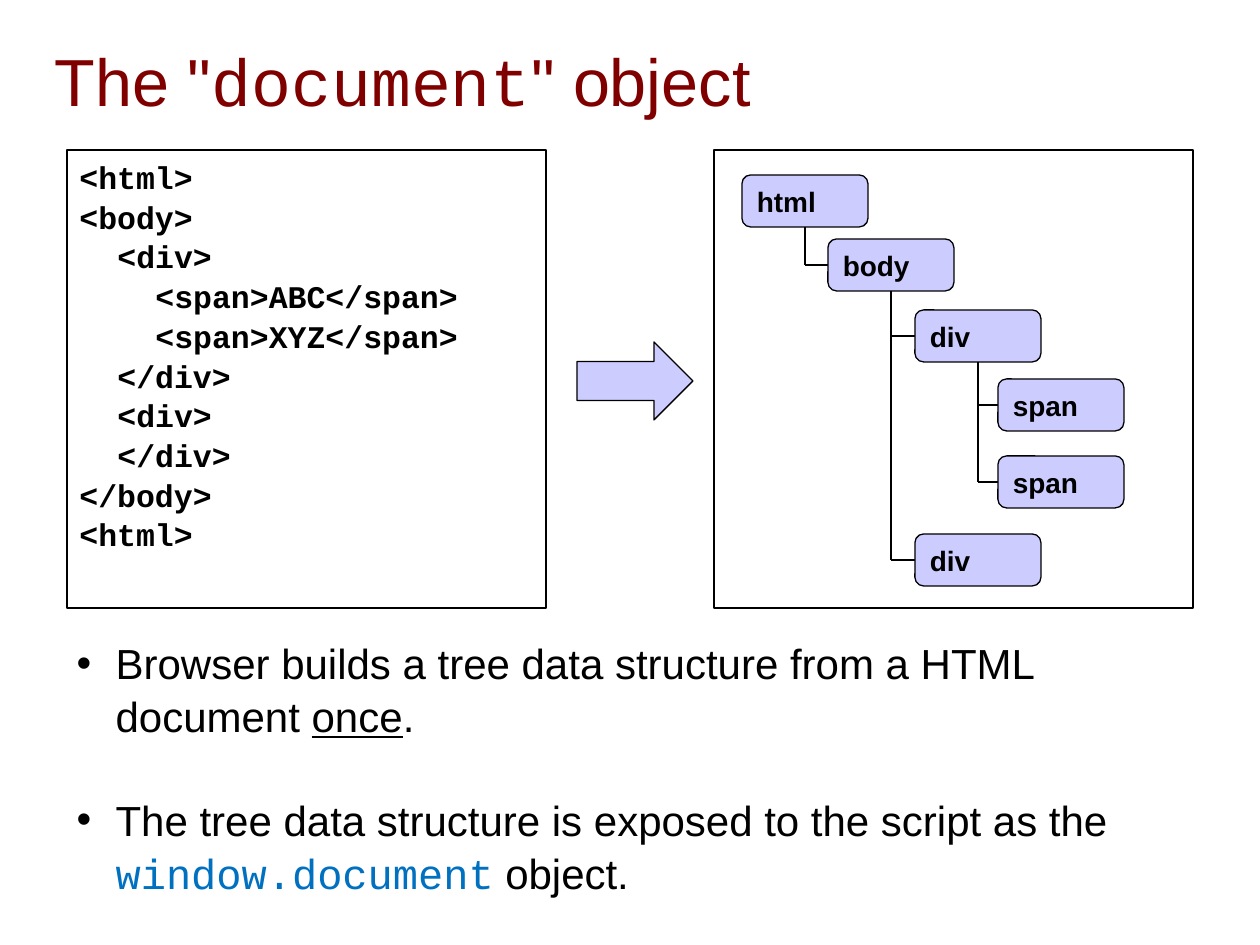
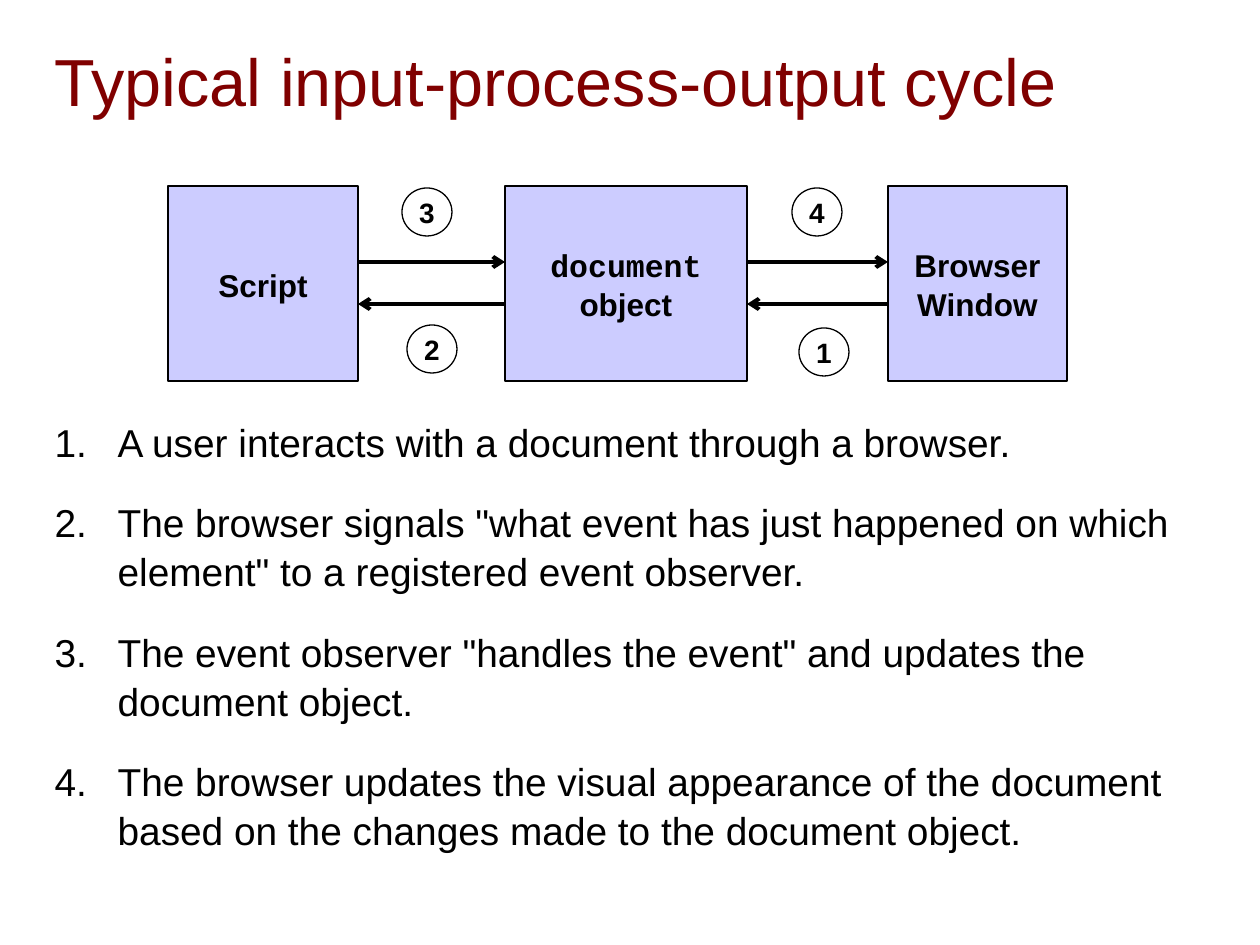
from lxml import etree
from pptx import Presentation
from pptx import util as u
from pptx.dml.color import RGBColor
from pptx.enum import shapes, text
from pptx.oxml.ns import qn

COLORS = {"title": "800000", "ink": "000000", "node": "CCCCFF", "paper": "FFFFFF", "api": "0070C0"}
SANS, MONO = "Arial", "Courier New"
PX_PER_INCH = 126
LINE_SPACING = 1.05
KIND = shapes.MSO_SHAPE

# A run is plain text or (text, style); these are the styles.
RUN_STYLES = {
    "code": {"font": MONO},
    "api": {"font": MONO, "color": "api"},
    "underline": {"underline": True},
}

TITLE_AREA = (42, 23, 1187, 113)

DOCUMENT_TITLE = ['The "', ("document", "code"), '" object']
HTML_LINES = [  # (depth, markup)
    (0, "<html>"),
    (0, "<body>"),
    (1, "<div>"),
    (2, "<span>ABC</span>"),
    (2, "<span>XYZ</span>"),
    (1, "</div>"),
    (1, "<div>"),
    (1, "</div>"),
    (0, "</body>"),
    (0, "<html>"),
]
CODE_INDENT = 38
DOM_NODES = [  # (tag, depth, top, index of parent)
    ("html", 0, 175, None),
    ("body", 1, 239, 0),
    ("div", 2, 310, 1),
    ("span", 3, 379, 2),
    ("span", 3, 456, 2),
    ("div", 2, 534, 1),
]
DEPTH_LEFTS = [742, 828, 915, 998]
NODE_W, NODE_H = 126, 52
CODE_PANEL = (67, 150, 479, 458)
TREE_PANEL = (714, 150, 479, 458)
BUILD_ARROW = (577, 342, 116, 78)
DOCUMENT_POINTS = [
    ["Browser builds a tree data structure from a HTML document ", ("once", "underline"), "."],
    ["The tree data structure is exposed to the script as the ", ("window.document", "api"), " object."],
]

CYCLE_TITLE = ["Typical input-process-output cycle"]
CYCLE_PARTS = [  # (left, width, lines)
    (168, 190, [["Script"]]),
    (505, 242, [[("document", "code")], ["object"]]),
    (888, 179, [["Browser"], ["Window"]]),
]
PART_TOP, PART_H = 186, 195
OUTPUT_Y, INPUT_Y = 262, 304
STEP_BADGES = [("1", 799, 328), ("2", 407, 325), ("3", 402, 188), ("4", 792, 188)]
BADGE_W, BADGE_H = 50, 48
CYCLE_STEPS = [
    ["A user interacts with a document through a browser."],
    ['The browser signals "what event has just happened on which element" to a registered event observer.'],
    ['The event observer "handles the event" and updates the document object.'],
    ["The browser updates the visual appearance of the document based on the changes made to the document object."],
]


def px(length):
    return u.Emu(round(length * u.Inches(1) / PX_PER_INCH))


def rgb(name):
    return RGBColor.from_string(COLORS[name])


def write(paragraph, runs, size, color="ink", font=SANS, bold=False):
    paragraph.font.size = u.Pt(size)
    paragraph.font.name = font
    paragraph.font.bold = bold
    paragraph.font.color.rgb = rgb(color)
    for item in runs:
        words, style = (item, None) if isinstance(item, str) else item
        run = paragraph.add_run()
        run.text = words
        look = RUN_STYLES.get(style, {})
        if "font" in look:
            run.font.name = look["font"]
        if "color" in look:
            run.font.color.rgb = rgb(look["color"])
        if "underline" in look:
            run.font.underline = True


def paragraphs(frame, count):
    """Return count paragraphs of the frame, reusing its empty first one."""
    return [frame.paragraphs[0]] + [frame.add_paragraph() for _ in range(count - 1)]


def indent(paragraph, left, first=0):
    properties = paragraph._p.get_or_add_pPr()
    properties.set("marL", str(px(left)))
    properties.set("indent", str(px(first)))
    return properties


def place(shape, area):
    shape.left, shape.top, shape.width, shape.height = map(px, area)


def add_titled_slide(deck, title):
    slide = deck.slides.add_slide(deck.slide_layouts[1])
    heading = slide.shapes.title
    place(heading, TITLE_AREA)
    frame = heading.text_frame
    frame.auto_size = text.MSO_AUTO_SIZE.NONE
    frame.vertical_anchor = text.MSO_ANCHOR.MIDDLE
    frame.paragraphs[0].alignment = text.PP_ALIGN.LEFT
    write(frame.paragraphs[0], title, 38, "title")
    return slide


def fill_list(slide, area, items, size, gap, hang, numbered=False):
    body = slide.placeholders[1]
    place(body, area)
    frame = body.text_frame
    frame.auto_size = text.MSO_AUTO_SIZE.NONE
    for paragraph, runs in zip(paragraphs(frame, len(items)), items):
        paragraph.line_spacing = LINE_SPACING
        paragraph.space_before = u.Pt(0)
        paragraph.space_after = u.Pt(gap)
        properties = indent(paragraph, hang, -hang)
        if numbered:
            etree.SubElement(properties, qn("a:buAutoNum"), type="arabicPeriod")
        write(paragraph, runs, size)


def add_outlined(slide, kind, area, fill=None, line_width=0.75):
    shape = slide.shapes.add_shape(kind, *map(px, area))
    shape.shadow.inherit = False
    if fill:
        shape.fill.solid()
        shape.fill.fore_color.rgb = rgb(fill)
    else:
        shape.fill.background()
    shape.line.color.rgb = rgb("ink")
    shape.line.width = u.Pt(line_width)
    return shape


def label(shape, lines, size, align=text.PP_ALIGN.CENTER):
    frame = shape.text_frame
    frame.vertical_anchor = text.MSO_ANCHOR.MIDDLE
    for paragraph, runs in zip(paragraphs(frame, len(lines)), lines):
        paragraph.alignment = align
        paragraph.line_spacing = LINE_SPACING
        write(paragraph, runs, size, bold=True)


def add_line(slide, start, end, width, arrow=False):
    line = slide.shapes.add_connector(shapes.MSO_CONNECTOR.STRAIGHT, *map(px, start + end))
    line.line.color.rgb = rgb("ink")
    line.line.width = u.Pt(width)
    if arrow:
        etree.SubElement(line.line._get_or_add_ln(), qn("a:tailEnd"), type="arrow")
    etree.SubElement(line._element.spPr, qn("a:effectLst"))


def draw_code(slide):
    panel = add_outlined(slide, KIND.RECTANGLE, CODE_PANEL, line_width=1)
    frame = panel.text_frame
    frame.word_wrap = False
    frame.vertical_anchor = text.MSO_ANCHOR.TOP
    for paragraph, (depth, markup) in zip(paragraphs(frame, len(HTML_LINES)), HTML_LINES):
        paragraph.alignment = text.PP_ALIGN.LEFT
        paragraph.line_spacing = LINE_SPACING
        indent(paragraph, depth * CODE_INDENT)
        write(paragraph, [markup], 18, font=MONO, bold=True)


def draw_tree(slide):
    add_outlined(slide, KIND.RECTANGLE, TREE_PANEL, line_width=1)
    for index, (tag, depth, top, _) in enumerate(DOM_NODES):
        left = DEPTH_LEFTS[depth]
        node = add_outlined(slide, KIND.ROUNDED_RECTANGLE, (left, top, NODE_W, NODE_H), "node")
        label(node, [[tag]], 16, text.PP_ALIGN.LEFT)

        children = [child for child in DOM_NODES if child[3] == index]
        if not children:
            continue
        trunk = left + NODE_W // 2
        branches = [child[2] + NODE_H // 2 for child in children]
        add_line(slide, (trunk, top + NODE_H), (trunk, max(branches)), 1.5)
        for branch in branches:
            add_line(slide, (trunk, branch), (DEPTH_LEFTS[depth + 1], branch), 1.5)


def draw_cycle(slide):
    for left, width, lines in CYCLE_PARTS:
        part = add_outlined(slide, KIND.RECTANGLE, (left, PART_TOP, width, PART_H), "node")
        label(part, lines, 18)
    for (left, width, _), (next_left, _, _) in zip(CYCLE_PARTS, CYCLE_PARTS[1:]):
        right = left + width
        add_line(slide, (right, OUTPUT_Y), (next_left, OUTPUT_Y), 2.25, arrow=True)
        add_line(slide, (next_left, INPUT_Y), (right, INPUT_Y), 2.25, arrow=True)
    for number, left, top in STEP_BADGES:
        badge = add_outlined(slide, KIND.OVAL, (left, top, BADGE_W, BADGE_H), "paper")
        frame = badge.text_frame
        frame.margin_left = frame.margin_right = frame.margin_top = frame.margin_bottom = 0
        label(badge, [[number]], 16)


def main():
    deck = Presentation()
    deck.slide_width, deck.slide_height = px(1260), px(945)

    document_slide = add_titled_slide(deck, DOCUMENT_TITLE)
    draw_code(document_slide)
    draw_tree(document_slide)
    add_outlined(document_slide, KIND.RIGHT_ARROW, BUILD_ARROW, "node")
    fill_list(document_slide, (64, 629, 1129, 273), DOCUMENT_POINTS, size=24, gap=29, hang=39)

    cycle_slide = add_titled_slide(deck, CYCLE_TITLE)
    draw_cycle(cycle_slide)
    fill_list(cycle_slide, (42, 410, 1187, 493), CYCLE_STEPS, size=22.2, gap=18, hang=63, numbered=True)

    deck.save("out.pptx")


if __name__ == "__main__":
    main()
